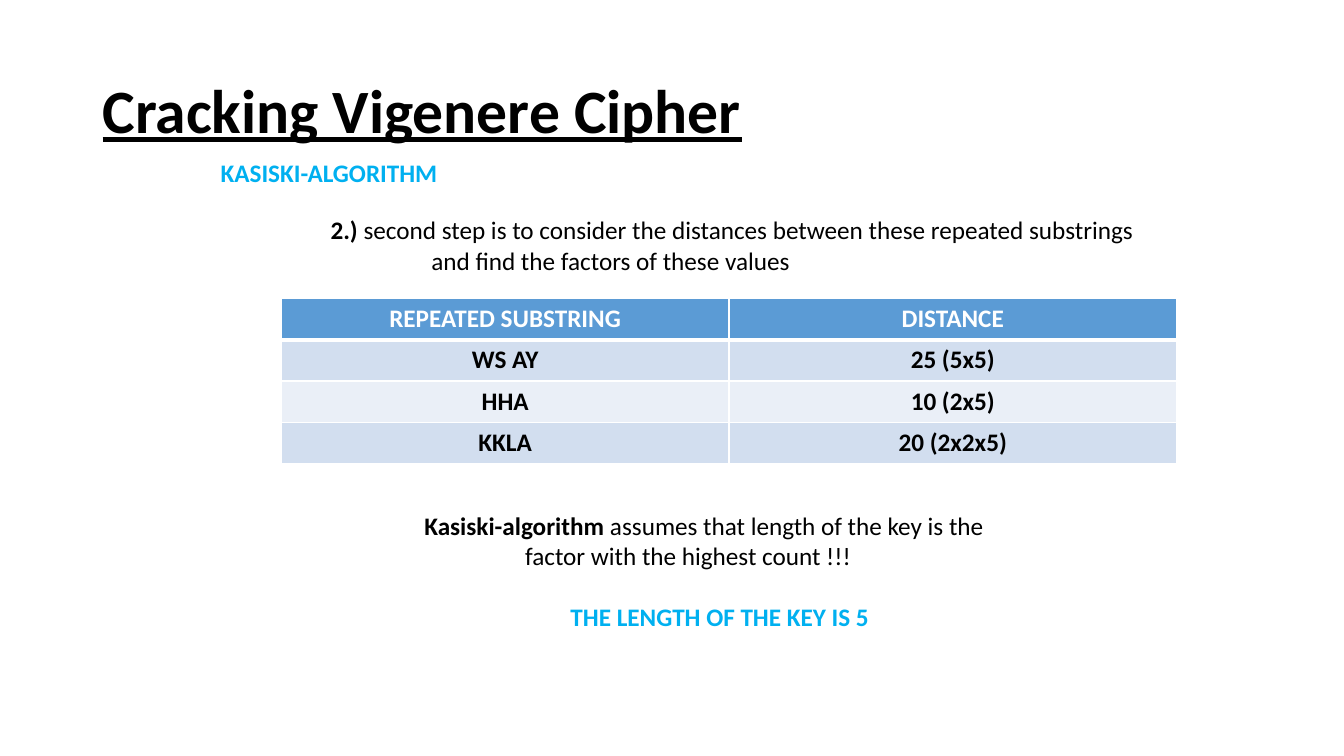
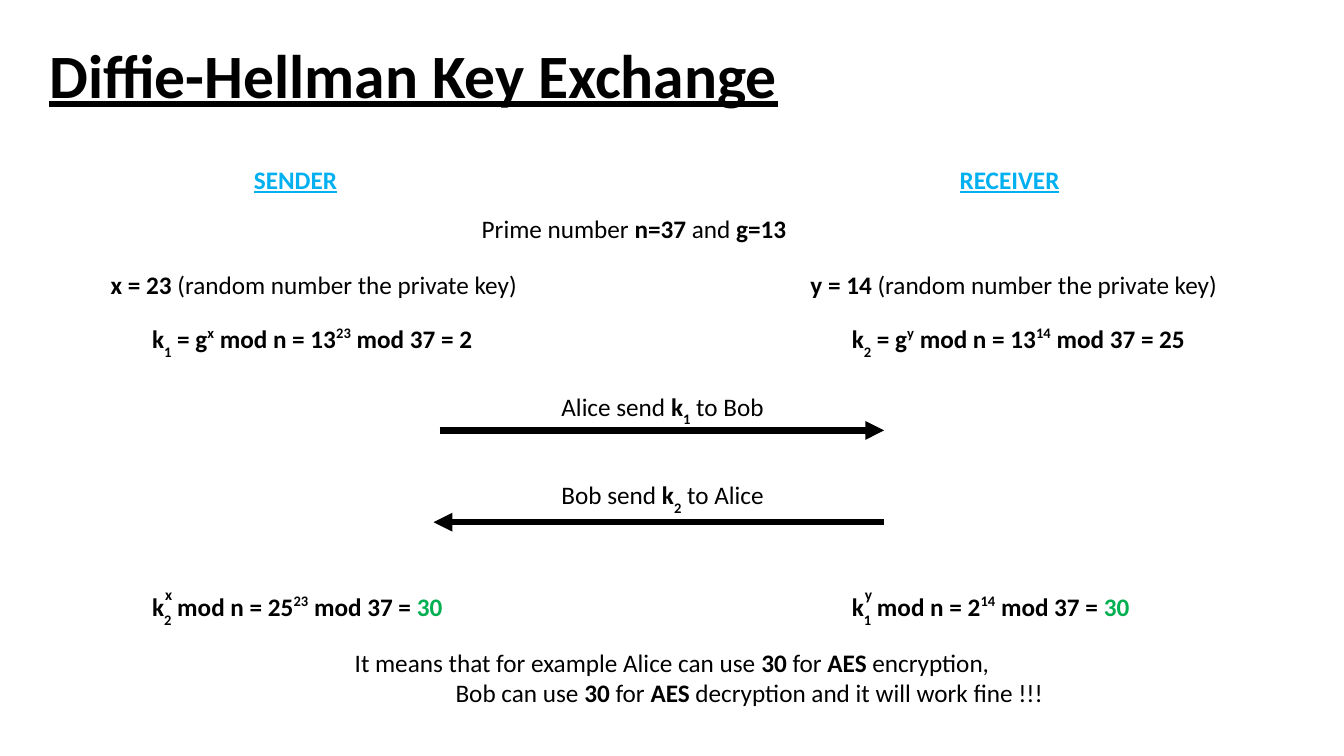
from lxml import etree
from pptx import Presentation
from pptx import util as u
from pptx.dml.color import RGBColor
from pptx.enum import shapes, text
from pptx.oxml import ns

# Shared look
COLORS = {
    "ink": "000000", "accent": "00B0F0", "result": "00B050", "white": "FFFFFF",
    "header": "5B9BD5", "band_dark": "D2DEEF", "band_light": "EAEFF7",
}
FONT = "Calibri"
BODY = {"size": u.Pt(18)}
STYLES = {
    "title": {"size": u.Pt(44), "bold": True, "underline": True},
    "plain": BODY,
    "bold": {**BODY, "bold": True},
    "accent": {**BODY, "bold": True, "color": "accent"},
    "role": {**BODY, "bold": True, "underline": True, "color": "accent"},
    "result": {**BODY, "bold": True, "color": "result"},
    "header": {**BODY, "bold": True, "color": "white"},
    "sub": {**BODY, "bold": True, "baseline": -35000},
    "sup": {**BODY, "bold": True, "baseline": 40000},
    "exponent": {"size": u.Pt(11), "bold": True},
}


def rgb(name):
    return RGBColor.from_string(COLORS[name])


# Text
def add_runs(paragraph, runs):
    """Append (wording, style) pairs to a paragraph."""
    for wording, style in runs:
        run = paragraph.add_run()
        run.text = wording
        values = {"name": FONT, "color": "ink", **STYLES[style]}
        run.font.color.rgb = rgb(values.pop("color"))
        baseline = values.pop("baseline", None)
        if baseline:
            run._r.get_or_add_rPr().set("baseline", str(baseline))
        for attribute, value in values.items():
            setattr(run.font, attribute, value)


def add_text(slide, left, top, width, height, *lines):
    """Each line is (runs, left indent in inches, space before in points)."""
    frame = slide.shapes.add_textbox(
        u.Inches(left), u.Inches(top), u.Inches(width), u.Inches(height)).text_frame
    frame.word_wrap = True
    for number, (runs, indent, gap) in enumerate(lines):
        paragraph = frame.add_paragraph() if number else frame.paragraphs[0]
        paragraph.space_before = u.Pt(gap)
        if indent:
            paragraph._p.get_or_add_pPr().set("marL", str(u.Inches(indent)))
        add_runs(paragraph, runs)
    return frame


def add_line(slide, left, top, width, *runs):
    add_text(slide, left, top, width, 0.4, (runs, 0, 0))


def add_title(slide, left, top, wording):
    frame = add_text(slide, left, top, 11.5, 1.45, ([(wording, "title")], 0, 0))
    frame.vertical_anchor = text.MSO_ANCHOR.MIDDLE
    frame.paragraphs[0].line_spacing = 0.9


# Table
def add_borders(cell, bottom):
    properties = cell._tc.get_or_add_tcPr()
    sides = {"lnL": 1, "lnR": 1, "lnT": 1, "lnB": bottom}
    for position, (side, points) in enumerate(sides.items()):
        line = etree.Element(ns.qn(f"a:{side}"), w=str(u.Pt(points)))
        fill = etree.SubElement(line, ns.qn("a:solidFill"))
        etree.SubElement(fill, ns.qn("a:srgbClr"), val=COLORS["white"])
        properties.insert(position, line)


def add_distance_table(slide, left, top, width, row_height, rows):
    table = slide.shapes.add_table(
        len(rows), len(rows[0]), u.Inches(left), u.Inches(top),
        u.Inches(width), u.Inches(row_height * len(rows))).table
    for r, row in enumerate(rows):
        band = "header" if r == 0 else "band_dark" if r % 2 else "band_light"
        for c, wording in enumerate(row):
            cell = table.cell(r, c)
            cell.fill.solid()
            cell.fill.fore_color.rgb = rgb(band)
            add_borders(cell, bottom=1 if r else 3)
            paragraph = cell.text_frame.paragraphs[0]
            paragraph.alignment = text.PP_ALIGN.CENTER
            add_runs(paragraph, [(wording, "bold" if r else "header")])


# Arrow
def add_arrow(slide, start, end, y):
    arrow = slide.shapes.add_connector(
        shapes.MSO_CONNECTOR.STRAIGHT,
        u.Inches(start), u.Inches(y), u.Inches(end), u.Inches(y))
    arrow.line.color.rgb = rgb("ink")
    arrow.line.width = u.Pt(4.5)
    etree.SubElement(arrow.line._get_or_add_ln(), ns.qn("a:tailEnd"), type="triangle")
    etree.SubElement(arrow._element.spPr, ns.qn("a:effectLst"))


# Slides
def build_kasiski(slide):
    add_title(slide, 0.92, 0.4, "Cracking Vigenere Cipher")
    add_line(slide, 2.09, 1.51, 2.6, ("KASISKI-ALGORITHM", "accent"))
    add_text(
        slide, 3.18, 2.08, 8.5, 0.71,
        ([("2.) ", "bold"),
          ("second step is to consider the distances between these repeated substrings",
           "plain")], 0, 0),
        ([("and find the factors of these values", "plain")], 1, 0))
    add_distance_table(slide, 2.79, 2.96, 8.88, 0.41, [
        ("REPEATED SUBSTRING", "DISTANCE"),
        ("WS AY", "25 (5x5)"),
        ("HHA", "10 (2x5)"),
        ("KKLA", "20 (2x2x5)"),
    ])
    add_text(
        slide, 4.11, 5.01, 6.05, 1.31,
        ([("Kasiski-algorithm", "bold"),
          (" assumes that length of the key is the", "plain")], 0, 0),
        ([("factor with the highest count !!!", "plain")], 1, 0),
        ([("THE LENGTH OF THE KEY IS 5", "accent")], 1.45, 22))


def add_party(slide, left, role, role_left, secret, power, own, other, public, received):
    """One side of the exchange: role, private key, public key, shared key."""
    formula_left = left + 0.41
    add_line(slide, role_left, 1.58, 1.4, (role, "role"))
    add_line(slide, left, 2.62, 4.5, (f"{secret} = {power} ", "bold"),
             ("(random number the private key)", "plain"))
    add_line(slide, formula_left, 3.16, 3.7,
             ("k", "bold"), (own, "sub"), (" = g", "bold"), (secret, "sup"),
             (" mod n = 13", "bold"), (power, "sup"), (f" mod 37 = {public}", "bold"))
    add_line(slide, formula_left, 5.82, 3.4,
             ("k", "bold"), (other, "sub"), (f" mod n = {received}", "bold"),
             (power, "sup"), (" mod 37 = ", "bold"), ("30", "result"))
    # The exponent stands above the index of k
    add_line(slide, formula_left + 0.13, 5.76, 0.4, (secret, "exponent"))


def add_message(slide, top, sender, index, receiver):
    add_line(slide, 5.47, top, 2.5, (f"{sender} send ", "plain"), ("k", "bold"),
             (index, "sub"), (f" to {receiver}", "plain"))


def build_key_exchange(slide):
    add_title(slide, 0.39, 0.05, "Diffie-Hellman Key Exchange")
    add_line(slide, 4.68, 2.07, 3.5, ("Prime number ", "plain"), ("n=37", "bold"),
             (" and ", "plain"), ("g=13", "bold"))
    add_party(slide, 1, "SENDER", 2.42, "x", "23", "1", "2", public=2, received=25)
    add_party(slide, 7.94, "RECEIVER", 9.42, "y", "14", "2", "1", public=25, received=2)
    # Messages in both directions
    add_message(slide, 3.83, "Alice", "1", "Bob")
    add_arrow(slide, 4.36, 8.77, 4.27)
    add_message(slide, 4.71, "Bob", "2", "Alice")
    add_arrow(slide, 8.77, 4.3, 5.18)
    # Conclusion
    add_text(
        slide, 3.42, 6.37, 7.3, 0.71,
        ([("It means that for example Alice can use ", "plain"), ("30 ", "bold"),
          ("for ", "plain"), ("AES", "bold"), (" encryption,", "plain")], 0, 0),
        ([("Bob can use ", "plain"), ("30", "bold"), (" for ", "plain"), ("AES", "bold"),
          (" decryption and it will work fine !!!", "plain")], 1, 0))


def main():
    deck = Presentation()
    deck.slide_width, deck.slide_height = u.Inches(13.33), u.Inches(7.5)
    for build in (build_kasiski, build_key_exchange):
        build(deck.slides.add_slide(deck.slide_layouts[6]))
    deck.save("out.pptx")


if __name__ == "__main__":
    main()
